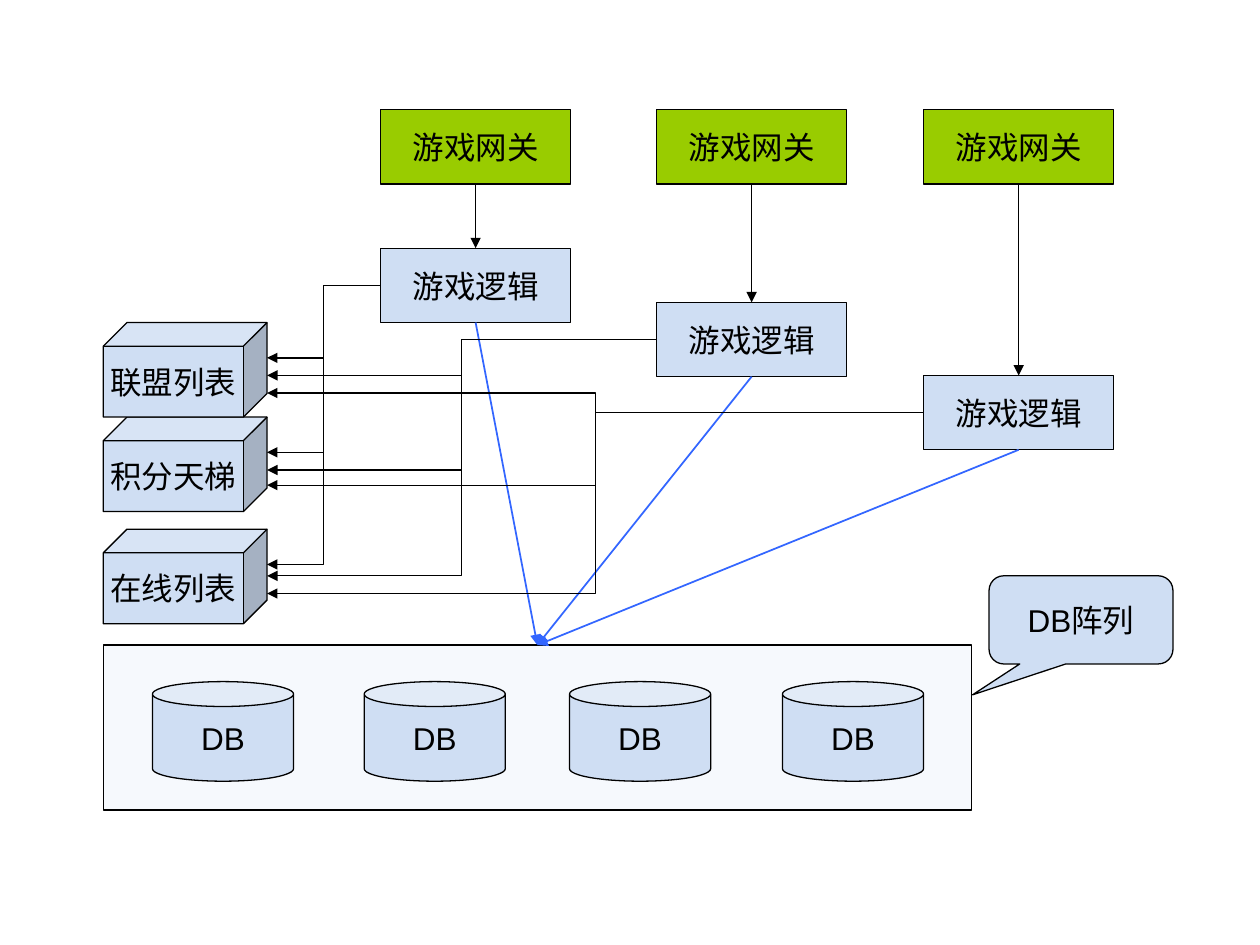
import pptx
import pptx.util
import pptx.dml.color
import pptx.enum.shapes
import pptx.enum.text
import pptx.oxml.ns
import lxml.etree

SHAPE = pptx.enum.shapes.MSO_SHAPE
CONNECTOR = pptx.enum.shapes.MSO_CONNECTOR
TOP, BOTTOM = 0, 2
COLORS = {
    "black": "000000",
    "gateway": "99CC00",
    "node": "CFDEF3",
    "panel": "F6F9FD",
    "database_link": "3366FF",
}
SLIDE_WIDTH = pptx.util.Inches(10)
SLIDE_HEIGHT = pptx.util.Inches(7.5)
COLUMNS = 100

BOX_WIDTH, BOX_HEIGHT = 15.1, 5.9
GATEWAY_ROW = 8.7
LOGIC_CELLS = [(30.2, 19.7), (52.1, 24), (73.3, 29.8)]
LIST_COLUMN, LIST_WIDTH, LIST_HEIGHT = 8.2, 13, 7.5
LISTS = [("在线列表", 42), ("积分天梯", 33.1), ("联盟列表", 25.6)]
LIST_ENTRY_ROWS = [(28.4, 35.9, 44.8), (29.8, 37.3, 45.7), (31.2, 38.5, 47.1)]
DATABASE_COLUMNS = [12.1, 28.9, 45.2, 62.1]


def grid(cells):
    return round(SLIDE_WIDTH / COLUMNS * cells)


def color(name):
    return pptx.dml.color.RGBColor.from_string(COLORS[name])


def add_block(slide, kind, left, top, width, height, fill, text=""):
    shape = slide.shapes.add_shape(kind, *map(grid, (left, top, width, height)))
    shape.shadow.inherit = False
    shape.fill.solid()
    shape.fill.fore_color.rgb = color(fill)
    shape.line.color.rgb = color("black")
    shape.line.width = pptx.util.Pt(0.75)
    if text:
        write_label(shape.text_frame, text)
    return shape


def write_label(text_frame, text):
    text_frame.text = text
    text_frame.word_wrap = False
    text_frame.vertical_anchor = pptx.enum.text.MSO_ANCHOR.MIDDLE
    paragraph = text_frame.paragraphs[0]
    paragraph.alignment = pptx.enum.text.PP_ALIGN.CENTER
    font = paragraph.runs[0].font
    font.name = "Arial"
    font.size = pptx.util.Pt(18)
    font.color.rgb = color("black")


def style_arrow(connector, line_color, width):
    connector.line.color.rgb = color(line_color)
    connector.line.width = pptx.util.Pt(width)
    line = connector.line._get_or_add_ln()
    lxml.etree.SubElement(line, pptx.oxml.ns.qn("a:tailEnd"), type="triangle")
    lxml.etree.SubElement(connector._element.spPr, pptx.oxml.ns.qn("a:effectLst"))


def add_down_arrow(slide, source, target, line_color="black", width=0.75):
    connector = slide.shapes.add_connector(CONNECTOR.STRAIGHT, 0, 0, 0, 0)
    connector.begin_connect(source, BOTTOM)
    connector.end_connect(target, TOP)
    style_arrow(connector, line_color, width)


def add_list_arrow(slide, logic, row):
    connector = slide.shapes.add_connector(
        CONNECTOR.ELBOW,
        logic.left, logic.top + logic.height // 2,
        grid(LIST_COLUMN + LIST_WIDTH), grid(row),
    )
    style_arrow(connector, "black", 0.75)


def main():
    presentation = pptx.Presentation()
    presentation.slide_width = SLIDE_WIDTH
    presentation.slide_height = SLIDE_HEIGHT
    slide = presentation.slides.add_slide(presentation.slide_layouts[6])

    panel = add_block(slide, SHAPE.RECTANGLE, LIST_COLUMN, 51.2, 68.9, 13.1, "panel")
    logics = [
        add_block(slide, SHAPE.RECTANGLE, column, row, BOX_WIDTH, BOX_HEIGHT, "node", "游戏逻辑")
        for column, row in LOGIC_CELLS
    ]
    gateways = [
        add_block(slide, SHAPE.RECTANGLE, column, GATEWAY_ROW, BOX_WIDTH, BOX_HEIGHT, "gateway", "游戏网关")
        for column, _ in LOGIC_CELLS
    ]
    for column in DATABASE_COLUMNS:
        add_block(slide, SHAPE.CAN, column, 54.1, 11.2, 7.9, "node", "DB")
    callout = add_block(slide, SHAPE.ROUNDED_RECTANGULAR_CALLOUT, 78.5, 45.7, 14.6, 7, "node", "DB阵列")
    callout.adjustments[0] = -0.59
    callout.adjustments[1] = 0.85
    for name, row in LISTS:
        add_block(slide, SHAPE.CUBE, LIST_COLUMN, row, LIST_WIDTH, LIST_HEIGHT, "node", name)

    for gateway, logic, entry_rows in zip(gateways, logics, LIST_ENTRY_ROWS):
        add_down_arrow(slide, gateway, logic)
        add_down_arrow(slide, logic, panel, "database_link", 1)
        for row in entry_rows:
            add_list_arrow(slide, logic, row)

    presentation.save("out.pptx")


if __name__ == "__main__":
    main()
